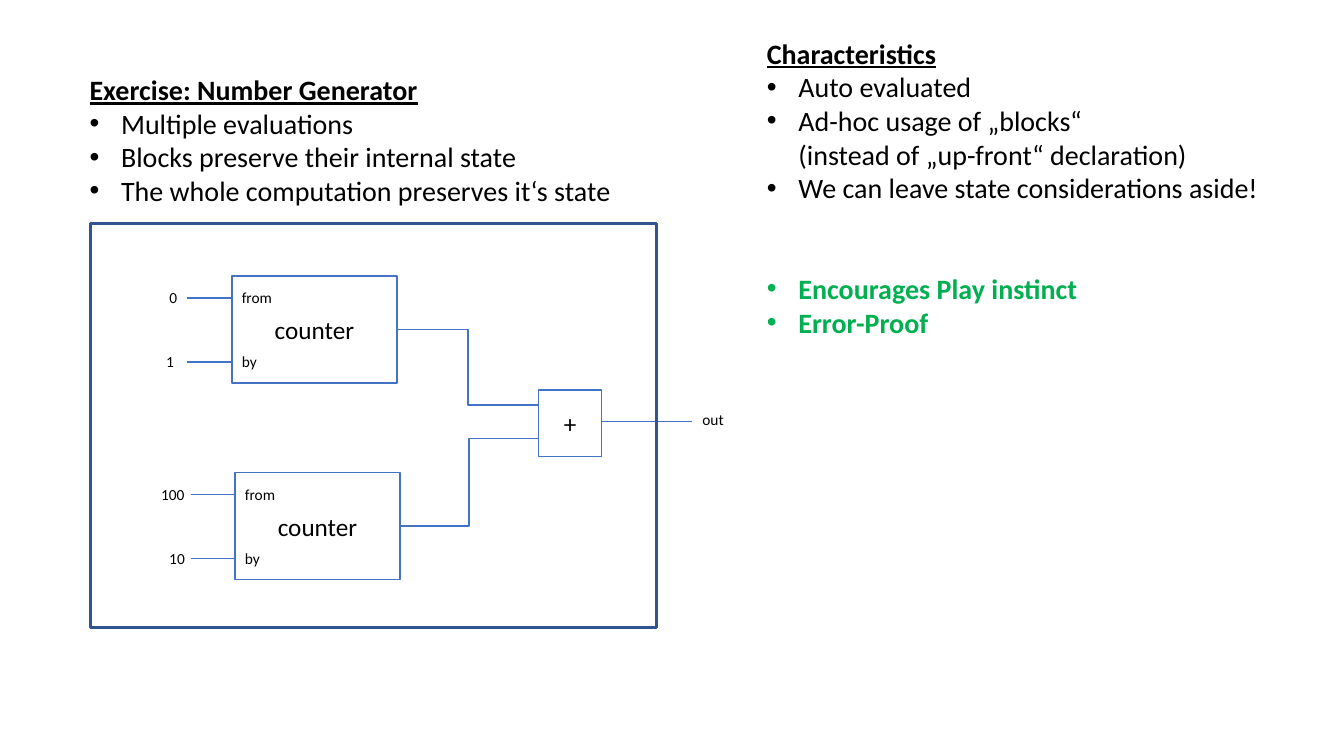
from lxml import etree
from pptx import Presentation
from pptx.dml.color import RGBColor
from pptx.enum.shapes import MSO_CONNECTOR, MSO_SHAPE
from pptx.enum.text import MSO_ANCHOR, PP_ALIGN
from pptx.oxml.ns import qn
from pptx.util import Pt

RECTANGLE = MSO_SHAPE.RECTANGLE
STRAIGHT, ELBOW = MSO_CONNECTOR.STRAIGHT, MSO_CONNECTOR.ELBOW
LEFT, CENTER = PP_ALIGN.LEFT, PP_ALIGN.CENTER
TOP, MIDDLE = MSO_ANCHOR.TOP, MSO_ANCHOR.MIDDLE

FONT = "Calibri"
COLORS = {"text": "000000", "benefit": "00B050", "block": "FFFFFF",
          "wire": "4472C4", "frame": "325491"}

# Heading, bullets, benefits, box (left, top, width, height)
LISTS = [
    ("Exercise: Number Generator",
     ["Multiple evaluations",
      "Blocks preserve their internal state",
      "The whole computation preserves it‘s state"],
     [], (56.9, 48.2, 392.4, 104.4)),
    ("Characteristics",
     ["Auto evaluated",
      "Ad-hoc usage of „blocks“\n(instead of „up-front“ declaration)",
      "We can leave state considerations aside!"],
     ["Encourages Play instinct", "Error-Proof"],
     (540.7, 22.3, 369.4, 225.4)),
]
# Counter position and its inputs: value, left and width of the value
COUNTERS = [
    {"left": 165.6, "top": 197.3,
     "inputs": [("0", 113.8, 20.2), ("1", 111.6, 20.2)]},
    {"left": 167.8, "top": 337.7,
     "inputs": [("100", 108, 31.7), ("10", 113.8, 25.9)]},
]
# Pin name, distance below the counter's top, label width
PINS = [("from", 15.6, 36.7), ("by", 61.2, 25.2)]
COUNTER_WIDTH, COUNTER_HEIGHT = 118, 76.3
PIN_LENGTH, LABEL_HEIGHT = 31.7, 20.9
PLUS = (384.5, 278.6, 45.4, 47.5)
PLUS_INPUTS = [289.4, 313.2]
OUT_Y, OUT_X, OUT_WIDTH = 301, 494.6, 29.5
FRAME = (64.8, 159.8, 403.9, 288.7)
INDENT, BENEFIT_GAP = 22.5, 48

deck = Presentation()
deck.slide_width, deck.slide_height = Pt(960), Pt(540)
slide = deck.slides.add_slide(deck.slide_layouts[6])
shapes = slide.shapes


def color(name):
    return RGBColor.from_string(COLORS[name])


def write(paragraph, text, size=20, ink="text", bold=False, underline=False,
          align=LEFT, bullet=False, gap=0):
    paragraph.text = text
    paragraph.alignment = align
    paragraph.space_before = Pt(gap)
    for run in paragraph.runs:
        font = run.font
        font.name, font.size = FONT, Pt(size)
        font.bold, font.underline = bold, underline
        font.color.rgb = color(ink)
    if bullet:
        properties = paragraph._p.get_or_add_pPr()
        properties.set("marL", str(Pt(INDENT)))
        properties.set("indent", str(-Pt(INDENT)))
        etree.SubElement(properties, qn("a:buFont"), typeface="Arial")
        etree.SubElement(properties, qn("a:buChar"), char="•")


def add_frame(box):
    """Add an unwrapped text box and return its text frame."""
    frame = shapes.add_textbox(*map(Pt, box)).text_frame
    frame.word_wrap = False
    frame.vertical_anchor = TOP
    return frame


def add_label(text, left, middle, width):
    box = (left, middle - LABEL_HEIGHT / 2, width, LABEL_HEIGHT)
    write(add_frame(box).paragraphs[0], text, size=11)


def add_list(heading, bullets, benefits, box):
    frame = add_frame(box)
    write(frame.paragraphs[0], heading, bold=True, underline=True)
    for bullet in bullets:
        write(frame.add_paragraph(), bullet, bullet=True)
    for index, benefit in enumerate(benefits):
        write(frame.add_paragraph(), benefit, ink="benefit", bold=True,
              bullet=True, gap=0 if index else BENEFIT_GAP)


def add_rectangle(box, line="wire", width=1):
    rectangle = shapes.add_shape(RECTANGLE, *map(Pt, box))
    rectangle.shadow.inherit = False
    rectangle.fill.background()
    rectangle.line.color.rgb = color(line)
    rectangle.line.width = Pt(width)
    return rectangle


def add_block(name, box):
    block = add_rectangle(box)
    block.fill.solid()
    block.fill.fore_color.rgb = color("block")
    block.text_frame.vertical_anchor = MIDDLE
    write(block.text_frame.paragraphs[0], name, size=18, align=CENTER)


def add_wire(kind, *ends):
    wire = shapes.add_connector(kind, *map(Pt, ends))
    wire.line.color.rgb = color("wire")
    wire.line.width = Pt(1.25)
    etree.SubElement(wire._element.spPr, qn("a:effectLst"))


for content in LISTS:
    add_list(*content)

add_block("+", PLUS)
for counter, plus_y in zip(COUNTERS, PLUS_INPUTS):
    left, top = counter["left"], counter["top"]
    add_block("counter", (left, top, COUNTER_WIDTH, COUNTER_HEIGHT))
    for (pin, drop, pin_width), (value, value_left, value_width) in zip(
            PINS, counter["inputs"]):
        pin_y = top + drop
        add_label(pin, left, pin_y, pin_width)
        add_label(value, value_left, pin_y, value_width)
        add_wire(STRAIGHT, left - PIN_LENGTH, pin_y, left, pin_y)
    add_wire(ELBOW, left + COUNTER_WIDTH, top + COUNTER_HEIGHT / 2,
             PLUS[0], plus_y)

add_wire(STRAIGHT, PLUS[0] + PLUS[2], OUT_Y, OUT_X, OUT_Y)
add_rectangle(FRAME, line="frame", width=2)
add_label("out", OUT_X, OUT_Y - 1, OUT_WIDTH)

deck.save("out.pptx")
